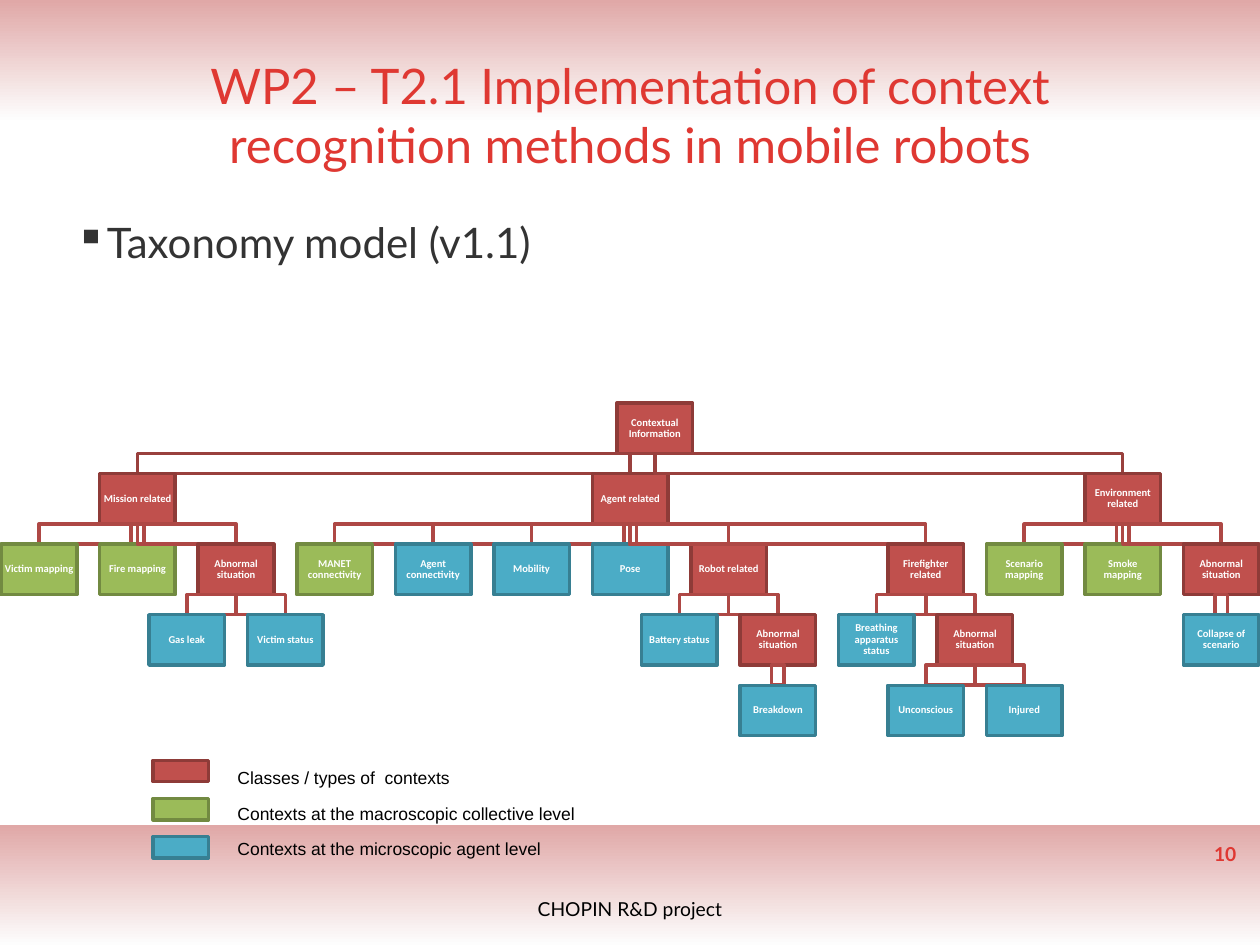
from pptx import Presentation
from pptx.dml.color import RGBColor
from pptx.enum import shapes, text
from pptx.oxml.xmlchemy import OxmlElement
from pptx.util import Pt

COLORS = {
    "band_light": "FDFDFD", "band_pink": "E0A8A7",
    "class": "C0504D", "class_edge": "8E3B38",
    "macro": "9BBB59", "macro_edge": "728A41",
    "micro": "4BACC6", "micro_edge": "377F92",
    "root_link": "99403D", "link": "AE4845",
    "accent": "DF3832", "body": "333333", "black": "000000", "white": "FFFFFF",
}

# Each node: label, kind, horizontal slot (half a column), children
TAXONOMY = ("Contextual Information", "class", 12.5, [
    ("Mission related", "class", 2, [
        ("Victim mapping", "macro", 0, []),
        ("Fire mapping", "macro", 2, []),
        ("Abnormal situation", "class", 4, [
            ("Gas leak", "micro", 3, []),
            ("Victim status", "micro", 5, []),
        ]),
    ]),
    ("Agent related", "class", 12, [
        ("MANET connectivity", "macro", 6, []),
        ("Agent connectivity", "micro", 8, []),
        ("Mobility", "micro", 10, []),
        ("Pose", "micro", 12, []),
        ("Robot related", "class", 14, [
            ("Battery status", "micro", 13, []),
            ("Abnormal situation", "class", 15, [
                ("Breakdown", "micro", 15, []),
            ]),
        ]),
        ("Firefighter related", "class", 18, [
            ("Breathing apparatus status", "micro", 17, []),
            ("Abnormal situation", "class", 19, [
                ("Unconscious", "micro", 18, []),
                ("Injured", "micro", 20, []),
            ]),
        ]),
    ]),
    ("Environment related", "class", 22, [
        ("Scenario mapping", "macro", 20, []),
        ("Smoke mapping", "macro", 22, []),
        ("Abnormal situation", "class", 24, [
            ("Collapse of scenario", "micro", 24, []),
        ]),
    ]),
])

LEGEND = [
    ("class", "Classes / types of  contexts"),
    ("macro", "Contexts at the macroscopic collective level"),
    ("micro", "Contexts at the microscopic agent level"),
]

SLIDE_W, SLIDE_H = 720, 540
BAND_H = 68.4
BOX_W, BOX_H = 43.2, 28.8
FIRST_CENTER, SLOT_W = 22.3, 28.15
TREE_TOP, LEVEL_H = 230.4, 40.3
SINGLE_LINK_W = 7.2
LEGEND_TOP, LEGEND_TEXT_TOP, LEGEND_STEP = 434.5, 435, 20.2
SWATCH_STEP = 21.8

presentation = Presentation()
presentation.slide_width, presentation.slide_height = Pt(SLIDE_W), Pt(SLIDE_H)
slide = presentation.slides.add_slide(presentation.slide_layouts[6])


def color(name):
    return RGBColor.from_string(COLORS[name])


def add_rect(left, top, width, height, fill=None, edge=None):
    shape = slide.shapes.add_shape(
        shapes.MSO_SHAPE.RECTANGLE, Pt(left), Pt(top), Pt(width), Pt(height))
    shape.shadow.inherit = False
    if fill:
        shape.fill.solid()
        shape.fill.fore_color.rgb = color(fill)
    else:
        shape.fill.background()
    if edge:
        shape.line.color.rgb = color(edge)
        shape.line.width = Pt(2)
    else:
        shape.line.fill.background()
    return shape


def add_run(paragraph, words, size, font, color_name, bold=False):
    run = paragraph.add_run()
    run.text = words
    run.font.size, run.font.name, run.font.bold = Pt(size), font, bold
    run.font.color.rgb = color(color_name)


def add_text(left, top, width, height, words, size, color_name, font="Lato",
             align=text.PP_ALIGN.LEFT, anchor=text.MSO_ANCHOR.MIDDLE, bold=False):
    box = slide.shapes.add_textbox(Pt(left), Pt(top), Pt(width), Pt(height))
    frame = box.text_frame
    frame.word_wrap = True
    frame.vertical_anchor = anchor
    paragraph = frame.paragraphs[0]
    paragraph.alignment = align
    add_run(paragraph, words, size, font, color_name, bold)
    return paragraph


def add_bullet(paragraph, character, indent):
    properties = paragraph._p.get_or_add_pPr()
    properties.set("marL", str(Pt(indent)))
    properties.set("indent", str(-Pt(indent)))
    bullet = OxmlElement("a:buChar")
    bullet.set("char", character)
    properties.append(bullet)


def add_band(top):
    band = add_rect(0, top, SLIDE_W, BAND_H)
    band.fill.gradient()
    band.fill.gradient_angle = 90
    for stop, position, name in zip(
            band.fill.gradient_stops, (0, 1), ("band_light", "band_pink")):
        stop.position = position
        stop.color.rgb = color(name)


def center_of(slot):
    return FIRST_CENTER + slot * SLOT_W


def add_link(parent_slot, child_slot, level):
    """Frame between the bottom of a parent and the top of its child."""
    ends = sorted((center_of(parent_slot), center_of(child_slot)))
    if parent_slot == child_slot:
        ends = [ends[0] - SINGLE_LINK_W / 2, ends[0] + SINGLE_LINK_W / 2]
    add_rect(ends[0], TREE_TOP + level * LEVEL_H + BOX_H, ends[1] - ends[0],
             LEVEL_H - BOX_H, edge="link" if level else "root_link")


def add_node(node, level=0):
    label, kind, slot, children = node
    box = add_rect(center_of(slot) - BOX_W / 2, TREE_TOP + level * LEVEL_H,
                   BOX_W, BOX_H, kind, kind + "_edge")
    frame = box.text_frame
    frame.word_wrap = True
    frame.vertical_anchor = text.MSO_ANCHOR.MIDDLE
    frame.margin_left = frame.margin_right = Pt(2)
    frame.margin_top = frame.margin_bottom = Pt(2)
    paragraph = frame.paragraphs[0]
    paragraph.alignment = text.PP_ALIGN.CENTER
    paragraph.line_spacing = 0.9
    add_run(paragraph, label, 6, "Calibri", "white", bold=True)
    for child in children:
        add_link(slot, child[2], level)
        add_node(child, level + 1)


add_band(SLIDE_H - BAND_H)
add_band(0)
add_node(TAXONOMY)

add_text(72, 36, 576, 58.3,
         "WP2 – T2.1 Implementation of context recognition methods in mobile robots",
         28, "accent", align=text.PP_ALIGN.CENTER)
topic = add_text(36, 120.2, 648, 383.8, "Taxonomy model (v1.1)", 24, "body",
                 anchor=text.MSO_ANCHOR.TOP)
add_bullet(topic, "▪", 18)
add_text(182.9, 509.8, 354.2, 19.4, "CHOPIN R&D project", 11, "black",
         align=text.PP_ALIGN.CENTER)
add_text(653.8, 478.1, 59.8, 19.4, "10", 11, "accent",
         align=text.PP_ALIGN.RIGHT, bold=True)

for row, (kind, meaning) in enumerate(LEGEND):
    add_rect(87.6, LEGEND_TOP + row * SWATCH_STEP, 31.7, 12.2, kind, kind + "_edge")
    add_text(128.6, LEGEND_TEXT_TOP + row * LEGEND_STEP, 220, 18.7, meaning, 10,
             "black", font="Arial", anchor=text.MSO_ANCHOR.TOP)

presentation.save("out.pptx")
